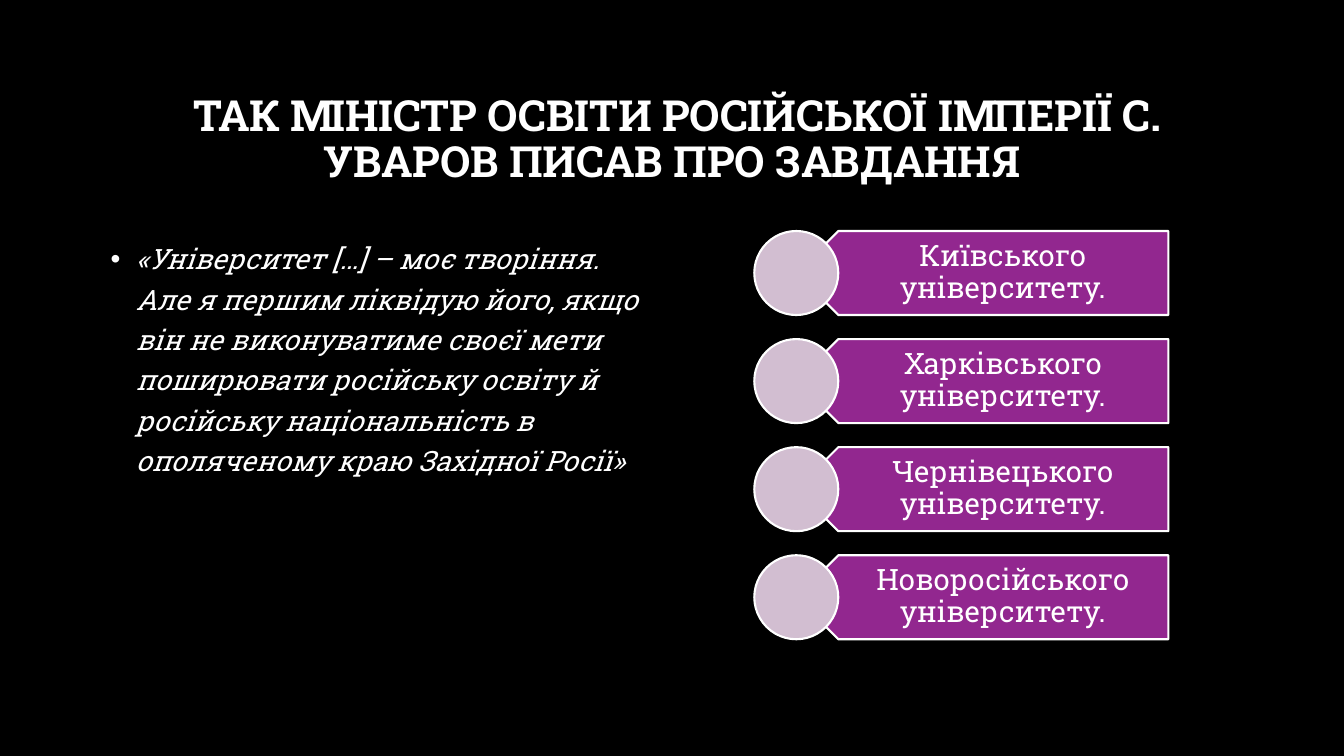
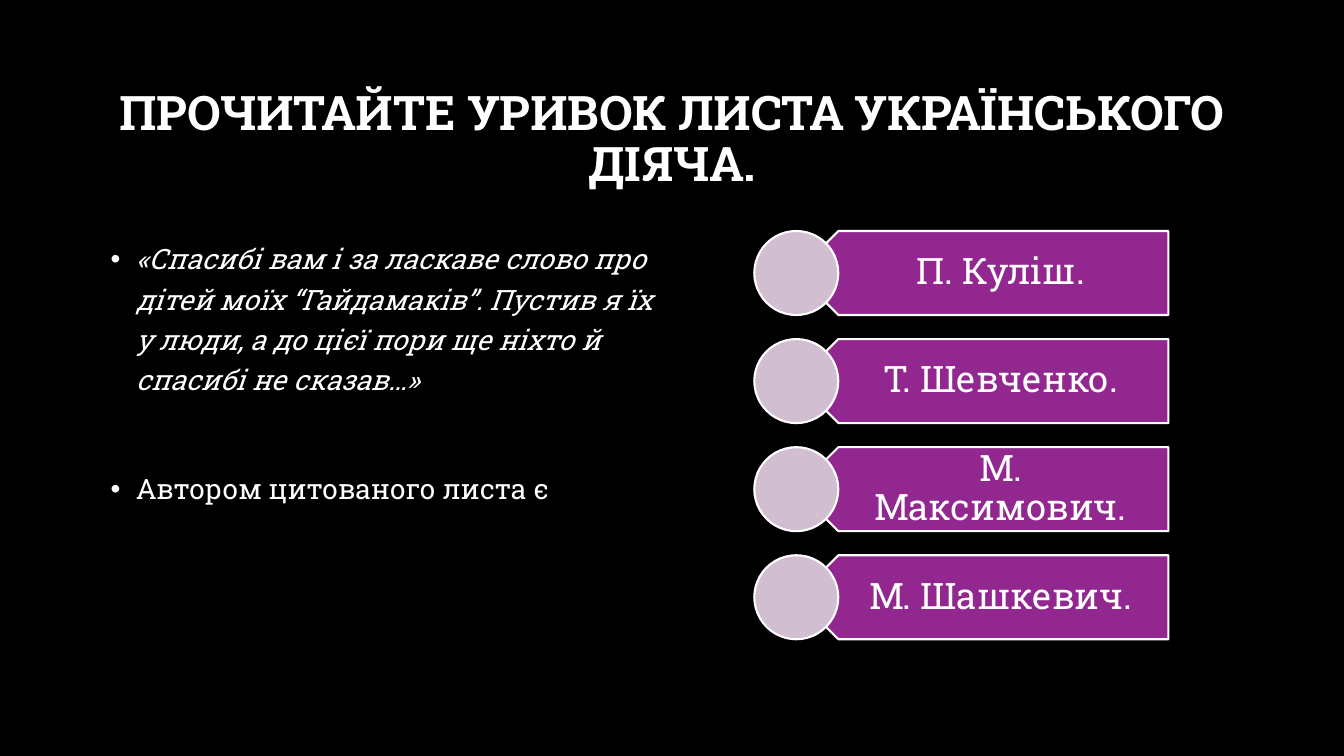
from lxml import etree
from pptx import Presentation
from pptx import util as u
from pptx.dml.color import RGBColor
from pptx.enum import shapes, text
from pptx.oxml.ns import qn

WIDE, HIGH = u.Inches(13.33), u.Inches(7.5)
COLS, ROWS = 160, 90
FONT = "Roboto Slab"
BLACK, WHITE, PLUM, LILAC = "000000", "FFFFFF", "92278F", "D2BED1"
TITLE = (12, 8, 136, 17.4)
QUOTE = (12, 27.4, 67, 48.6)
LIST = (89.8, 27.5, 49.3, 48.6)
DISC = 10

SLIDES = [
    {
        "title": " ТАК МІНІСТР ОСВІТИ РОСІЙСЬКОЇ ІМПЕРІЇ С. УВАРОВ ПИСАВ ПРО ЗАВДАННЯ",
        "size": 30.6,
        "quote": [
            ("«Університет […] – моє творіння. Але я першим ліквідую його, якщо "
             "він не виконуватиме своєї мети поширювати російську освіту й "
             "російську національність в ополяченому краю Західної Росії»", True),
        ],
        "items": ["Київського університету.", "Харківського університету.",
                  "Чернівецького університету.", "Новоросійського університету."],
        "label": 21,
        "inset": (0.36, 0.09, 0.16, 0.09),
    },
    {
        "title": "ПРОЧИТАЙТЕ УРИВОК ЛИСТА УКРАЇНСЬКОГО ДІЯЧА.",
        "size": 34,
        "quote": [
            ("«Спасибі вам і за ласкаве слово про дітей моїх “Гайдамаків”. "
             "Пустив я їх у люди, а до цієї пори ще ніхто й спасибі не сказав…»", True),
            ("Автором цитованого листа є", False),
        ],
        "items": ["П. Куліш.", "Т. Шевченко.", "М. Максимович.", "М. Шашкевич."],
        "label": 26,
        "inset": (0.36, 0.11, 0.2, 0.11),
    },
]


def paint(fill, tone):
    fill.solid()
    fill.fore_color.rgb = RGBColor.from_string(tone)


def place(box):
    x, y, w, h = box
    return [int(n) for n in (x * WIDE / COLS, y * HIGH / ROWS,
                             w * WIDE / COLS, h * HIGH / ROWS)]


def frame(slide, box, anchor, inset=(0.1, 0.05, 0.1, 0.05)):
    body = slide.shapes.add_textbox(*place(box)).text_frame
    body.word_wrap = True
    body.vertical_anchor = anchor
    (body.margin_left, body.margin_top,
     body.margin_right, body.margin_bottom) = map(u.Inches, inset)
    return body


def write(para, words, size, bold=False, slant=False):
    run = para.add_run()
    run.text = words
    font = run.font
    font.name, font.size = FONT, u.Pt(size)
    font.bold, font.italic = bold, slant
    paint(font.fill, WHITE)


def center(body, words, size, bold=False):
    para = body.paragraphs[0]
    para.alignment = text.PP_ALIGN.CENTER
    para.line_spacing = 0.9
    write(para, words, size, bold)


def bullet(para):
    props = para._p.get_or_add_pPr()
    props.set("marL", str(u.Inches(0.25)))
    props.set("indent", str(-u.Inches(0.25)))
    etree.SubElement(props, qn("a:buFont")).set("typeface", "Arial")
    etree.SubElement(props, qn("a:buChar")).set("char", "•")


def solid(slide, kind, box, tone):
    part = slide.shapes.add_shape(kind, *place(box))
    part.shadow.inherit = False
    paint(part.fill, tone)
    paint(part.line.fill, WHITE)
    part.line.width = u.Pt(1.5)
    return part


def title(slide, box, words, size):
    center(frame(slide, box, text.MSO_ANCHOR.MIDDLE), words, size, True)


def quote(slide, box, parts):
    body = frame(slide, box, text.MSO_ANCHOR.TOP)
    for n, (words, slant) in enumerate(parts):
        para = body.add_paragraph() if n else body.paragraphs[0]
        bullet(para)
        para.line_spacing = 1.2
        if n:
            para.space_before = u.Pt(49)
        write(para, words, 20, slant=slant)


def answer(slide, box, words, size, inset):
    x, y, w, h = box
    half, shift = h / 2, h * 0.75
    bar = solid(slide, shapes.MSO_SHAPE.PENTAGON, (x + half, y, w - half, h), PLUM)
    bar.rotation = 180
    body = frame(slide, (x + shift, y, w - shift, h), text.MSO_ANCHOR.MIDDLE, inset)
    center(body, words, size)
    solid(slide, shapes.MSO_SHAPE.OVAL, (x, y, h, h), LILAC)


def answers(slide, box, items, size, inset):
    x, y, w, h = box
    step = (h - DISC) / (len(items) - 1)
    for n, words in enumerate(items):
        answer(slide, (x, y + n * step, w, DISC), words, size, inset)


def main():
    deck = Presentation()
    deck.slide_width, deck.slide_height = WIDE, HIGH
    paint(deck.slide_master.background.fill, BLACK)
    for page in SLIDES:
        slide = deck.slides.add_slide(deck.slide_layouts[6])
        title(slide, TITLE, page["title"], page["size"])
        quote(slide, QUOTE, page["quote"])
        answers(slide, LIST, page["items"], page["label"], page["inset"])
    deck.save("out.pptx")


if __name__ == "__main__":
    main()
